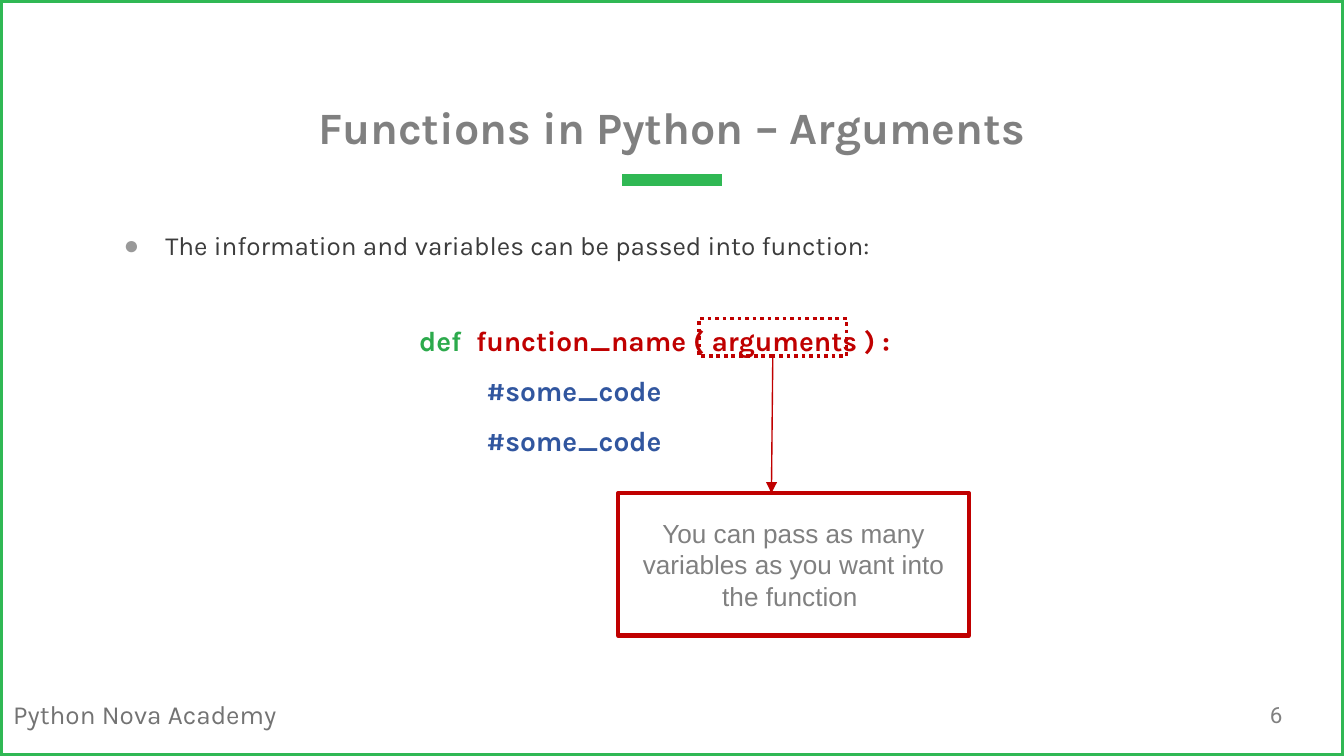
from pptx import Presentation
from pptx.dml.color import RGBColor
from pptx.enum.dml import MSO_LINE
from pptx.enum.shapes import MSO_CONNECTOR, MSO_SHAPE
from pptx.enum.text import MSO_ANCHOR, MSO_AUTO_SIZE, PP_ALIGN
from pptx.oxml.ns import qn
from pptx.util import Inches, Pt
from lxml import etree

LEFT, CENTER = PP_ALIGN.LEFT, PP_ALIGN.CENTER
TOP, MIDDLE, BOTTOM = MSO_ANCHOR.TOP, MSO_ANCHOR.MIDDLE, MSO_ANCHOR.BOTTOM
FIXED = MSO_AUTO_SIZE.NONE
DOTTED = MSO_LINE.ROUND_DOT
RECTANGLE = MSO_SHAPE.RECTANGLE
STRAIGHT = MSO_CONNECTOR.STRAIGHT

GREEN, RED, GRAY = "30B854", "C00000", "808080"
WIDTH = 10
HEIGHT = WIDTH * 9 / 16

# Content: each paragraph is a list of (text, colour) spans
TITLE = [[("Functions in Python – Arguments", GRAY)]]
BODY = [[("The information and variables can be passed into function:", "3C3C3C")]]
KEYWORD = "2CAA4C"
COMMENT = [("#some_code", "31569F")]
CODE = [
    [("def", KEYWORD), (" ", KEYWORD), ("function_name ( arguments ) :", RED)],
    COMMENT,
    COMMENT,
]
NOTE = [[("You can pass as many variables as you want into the function ", GRAY)]]
FOOTER = [[("Python Nova Academy", "737373")]]
NUMBER = [[("6", GRAY)]]


def color(value):
    return RGBColor.from_string(value)


def place(shape, left, top, width, height):
    shape.left, shape.top = Inches(left), Inches(top)
    shape.width, shape.height = Inches(width), Inches(height)


def write(shape, paragraphs, size, font="Karla", bold=False, anchor=TOP,
          align=LEFT, spacing=1.0, inset=0.1):
    frame = shape.text_frame
    settings = {
        "word_wrap": True, "auto_size": FIXED, "vertical_anchor": anchor,
        "margin_left": Inches(0.1), "margin_right": Inches(0.1),
        "margin_top": Inches(inset), "margin_bottom": Inches(inset),
    }
    for name, value in settings.items():
        setattr(frame, name, value)
    for index, spans in enumerate(paragraphs):
        para = frame.paragraphs[0] if index == 0 else frame.add_paragraph()
        para.alignment, para.line_spacing = align, spacing
        para.space_before = para.space_after = Pt(0)
        for text, tint in spans:
            span = para.add_run()
            span.text = text
            formats = {"name": font, "size": Pt(size), "bold": bold}
            for name, value in formats.items():
                setattr(span.font, name, value)
            span.font.color.rgb = color(tint)
    return frame.paragraphs


def indent(para, left, hanging=0):
    properties = para._p.get_or_add_pPr()
    properties.set("marL", str(Inches(left)))
    properties.set("indent", str(-Inches(hanging)))
    return properties


def add_textbox(page, area, *text, **formats):
    box = page.shapes.add_textbox(*map(Inches, area))
    return write(box, *text, **formats)


def add_frame(page, area, tint, weight):
    box = page.shapes.add_shape(RECTANGLE, *map(Inches, area))
    box.shadow.inherit = False
    box.fill.background()
    box.line.color.rgb = color(tint)
    box.line.width = Pt(weight)
    return box


def add_line(page, start, end, tint, weight):
    line = page.shapes.add_connector(STRAIGHT, *map(Inches, start + end))
    line.line.color.rgb = color(tint)
    line.line.width = Pt(weight)
    etree.SubElement(line._element.spPr, qn("a:effectLst"))
    return line


def main():
    deck = Presentation()
    deck.slide_width, deck.slide_height = Inches(WIDTH), Inches(HEIGHT)
    page = deck.slides.add_slide(deck.slide_layouts[1])
    title, body = page.placeholders

    # Page frame, footer and rule under the title
    add_textbox(page, (0, 5.15, 2.55, 0.34), FOOTER, 14, inset=0.05)
    add_frame(page, (0, 0, WIDTH, HEIGHT), GREEN, 3)
    add_line(page, (4.63, 1.34), (5.37, 1.34), GREEN, 6)
    add_textbox(page, (9.35, 5.1, 0.6, 0.43), NUMBER, 12, font="Roboto",
                anchor=MIDDLE)

    # Title and bullet list
    place(title, 0, 0.24, WIDTH, 1)
    write(title, TITLE, 24, bold=True, anchor=BOTTOM, align=CENTER)
    place(body, 0.82, 1.49, 8.59, 3.54)
    for para in write(body, BODY, 14, spacing=1.5):
        properties = indent(para, 0.31, 0.31)
        bullet_color = etree.SubElement(properties, qn("a:buClr"))
        etree.SubElement(bullet_color, qn("a:srgbClr"), val="999999")
        etree.SubElement(properties, qn("a:buChar"), char="●")

    # Code sample: a widened space after the keyword, the function body indented
    heading, *comments = add_textbox(page, (3.02, 2.18, 4.19, 1.34), CODE, 15,
                                     bold=True, spacing=1.5)
    gap = heading.runs[1]
    gap._r.get_or_add_rPr().set("spc", "400")
    for para in comments:
        para.level = 1
        indent(para, 0.5)

    # Highlighted arguments, arrow and explanation
    highlight = add_frame(page, (5.2, 2.37, 1.1, 0.28), RED, 2)
    highlight.line.dash_style = DOTTED
    arrow = add_line(page, (5.75, 2.65), (5.74, 3.67), RED, 0.75)
    etree.SubElement(arrow.line._get_or_add_ln(), qn("a:tailEnd"), type="triangle")
    note = add_frame(page, (4.6, 3.67, 2.61, 1.06), RED, 2.25)
    write(note, NOTE, 14, font="Arial", anchor=MIDDLE, align=CENTER, inset=0.05)

    deck.save("out.pptx")


if __name__ == "__main__":
    main()
